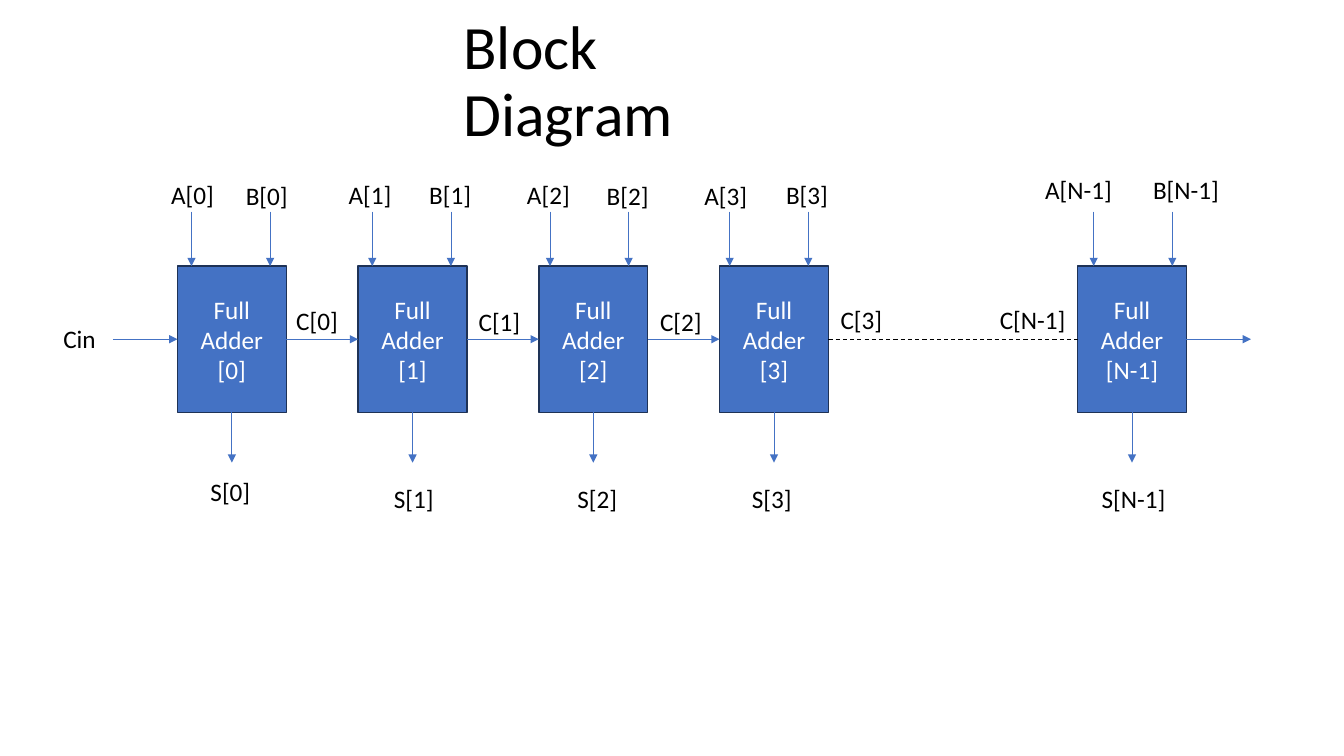
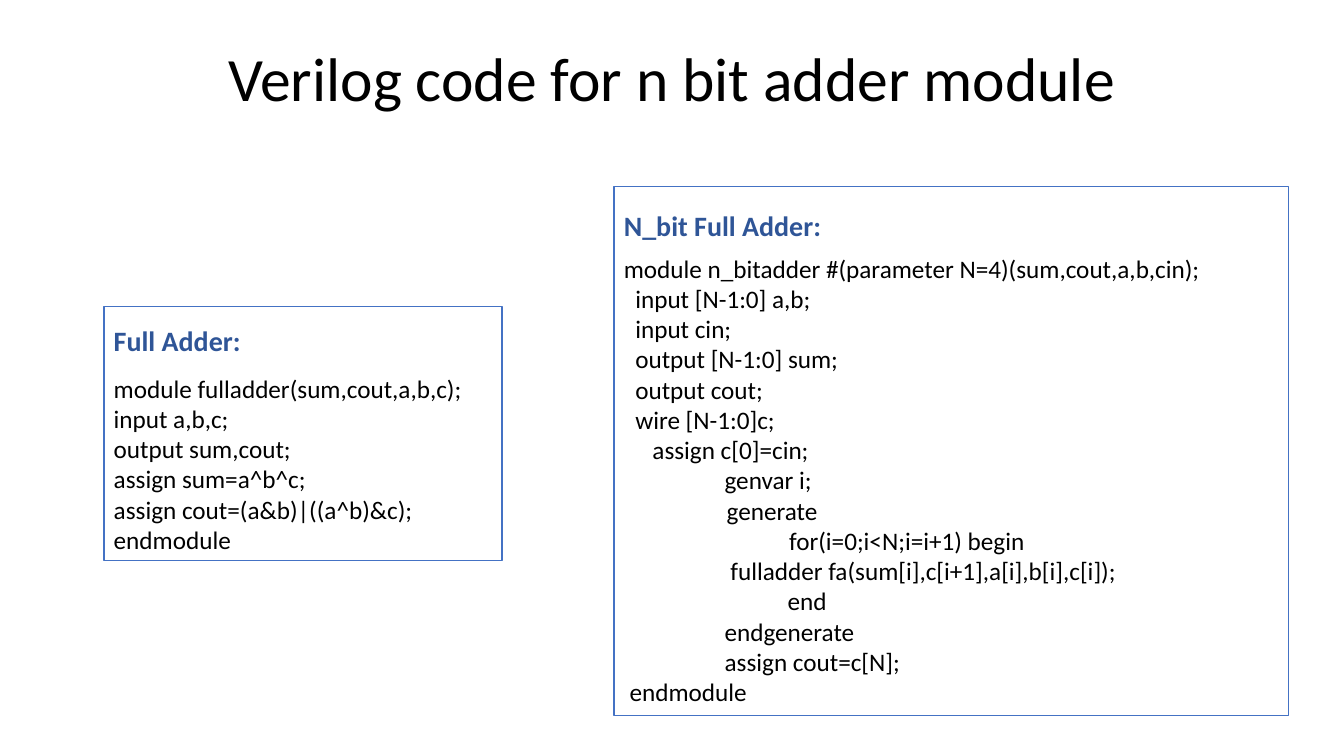
"""Builds two slides on an n-bit ripple-carry adder: block diagram and Verilog code."""
from collections import namedtuple

from lxml import etree
from pptx import Presentation
from pptx.dml.color import RGBColor
from pptx.enum.dml import MSO_LINE
from pptx.enum.shapes import MSO_CONNECTOR, MSO_SHAPE
from pptx.enum.text import MSO_ANCHOR, PP_ALIGN
from pptx.oxml.ns import qn
from pptx.util import Emu, Inches, Pt

RECTANGLE, STRAIGHT = MSO_SHAPE.RECTANGLE, MSO_CONNECTOR.STRAIGHT
DASH = MSO_LINE.DASH
LEFT, CENTER = PP_ALIGN.LEFT, PP_ALIGN.CENTER
TOP, MIDDLE = MSO_ANCHOR.TOP, MSO_ANCHOR.MIDDLE
SIDE_LEFT, SIDE_BOTTOM, SIDE_RIGHT = 1, 2, 3

COLORS = {
    "block": "4472C4",
    "block_edge": "1E3256",
    "heading": "2F5597",
    "ink": "000000",
    "paper": "FFFFFF",
}
FONT = "Calibri"
TITLE_SIZE, HEADING_SIZE, BODY_SIZE = 44, 20, 18

CELL = Inches(0.1)
GRID_COLUMNS, GRID_ROWS = 133.33, 75
BLOCK_WIDTH, BLOCK_HEIGHT = 10.8, 14.5
BLOCK_TOP, BLOCK_STEP = 26.4, 17.93
CARRY_ROW = BLOCK_TOP + BLOCK_HEIGHT / 2
INPUT_LENGTH, INPUT_GAP, OUTPUT_LENGTH, CARRY_LENGTH = 5.4, 7.8, 5, 6.4
LABEL_HEIGHT, LABEL_WIDTH, WIDE_LABEL_WIDTH = 4, 6.4, 9.9
FIRST_BLOCK, LAST_BLOCK = 17.6, 106.9

Stage = namedtuple("Stage", "index left first_input labels")
STAGES = [
    Stage("0", FIRST_BLOCK, 1.4,
          {"A": (16, 17.3), "B": (23.4, 17.4), "S": (19.9, 46.8), "C": (28.4, 29.8)}),
    Stage("1", FIRST_BLOCK + BLOCK_STEP, 1.4,
          {"A": (33.6, 17.3), "B": (41.6, 17.3), "S": (38.1, 47.5), "C": (46.5, 29.9)}),
    Stage("2", FIRST_BLOCK + 2 * BLOCK_STEP, 1.1,
          {"A": (51.3, 17.3), "B": (59.2, 17.4), "S": (56.3, 47.5), "C": (64.5, 29.9)}),
    Stage("3", FIRST_BLOCK + 3 * BLOCK_STEP, 1,
          {"A": (68.9, 17.4), "B": (77, 17.3), "S": (73.6, 47.5), "C": (82.4, 29.7)}),
    Stage("N-1", LAST_BLOCK, 1.6,
          {"A": (102.7, 16.8), "B": (113.4, 16.8), "S": (108.3, 47.5), "C": (98.2, 29.7)}),
]

FULL_ADDER_CODE = [
    (0, "module fulladder(sum,cout,a,b,c);"),
    (0, "input a,b,c;"),
    (0, "output sum,cout;"),
    (0, "assign sum=a^b^c;"),
    (0, "assign cout=(a&b)|((a^b)&c);"),
    (0, "endmodule"),
]
N_BIT_ADDER_CODE = [
    (0, "module n_bitadder #(parameter N=4)(sum,cout,a,b,cin);"),
    (1.14, "input [N-1:0] a,b;"),
    (1.14, "input cin;"),
    (1.14, "output [N-1:0] sum;"),
    (1.14, "output cout;"),
    (1.14, "wire [N-1:0]c;"),
    (2.84, "assign c[0]=cin;"),
    (10, "genvar i;"),
    (10.2, "generate"),
    (16.4, "for(i=0;i<N;i=i+1) begin"),
    (10.57, "fulladder fa(sum[i],c[i+1],a[i],b[i],c[i]);"),
    (16.24, "end"),
    (10, "endgenerate"),
    (10, "assign cout=c[N];"),
    (0.57, "endmodule"),
]


def cells(count):
    """Turn a count of grid cells into a length."""
    return Emu(round(count * CELL))


def rgb(name):
    """Look up a named colour."""
    return RGBColor.from_string(COLORS[name])


def write(shape, lines, size, color, align=LEFT, anchor=TOP, bold=None, spacing=None):
    """Fill a shape with (indent, text) lines, one paragraph each."""
    frame = shape.text_frame
    frame.word_wrap = True
    frame.vertical_anchor = anchor
    for number, (indent, text) in enumerate(lines):
        paragraph = frame.add_paragraph() if number else frame.paragraphs[0]
        paragraph.alignment = align
        paragraph.line_spacing = spacing
        if indent:
            paragraph._p.get_or_add_pPr().set("marL", str(cells(indent)))
        run = paragraph.add_run()
        run.text = text
        run.font.name = FONT
        run.font.size = Pt(size)
        run.font.bold = bold
        run.font.color.rgb = rgb(color)


def add_text(slide, box, text, size=BODY_SIZE, color="ink", **style):
    """Place one line of text in a box given in cells."""
    holder = slide.shapes.add_textbox(*map(cells, box))
    write(holder, [(0, text)], size, color, **style)


def add_title(slide, box, text, align=LEFT):
    """Place the slide title."""
    add_text(slide, box, text, TITLE_SIZE, align=align, anchor=MIDDLE, spacing=0.9)


def add_panel(slide, box, fill, edge):
    """Draw a flat outlined rectangle."""
    panel = slide.shapes.add_shape(RECTANGLE, *map(cells, box))
    panel.shadow.inherit = False
    panel.fill.solid()
    panel.fill.fore_color.rgb = rgb(fill)
    panel.line.color.rgb = rgb(edge)
    panel.line.width = Pt(1)
    return panel


def add_wire(slide, start, end, source=None, target=None, dashed=False):
    """Draw a signal arrow, or a dashed line for the omitted stages."""
    wire = slide.shapes.add_connector(STRAIGHT, *map(cells, (*start, *end)))
    if source:
        wire.begin_connect(*source)
    if target:
        wire.end_connect(*target)
    wire.line.color.rgb = rgb("ink" if dashed else "block")
    wire.line.width = Pt(0.75 if dashed else 0.5)
    if dashed:
        wire.line.dash_style = DASH
    else:
        etree.SubElement(wire.line._get_or_add_ln(), qn("a:tailEnd"), type="triangle")
    etree.SubElement(wire._element.spPr, qn("a:effectLst"))


def add_stage(slide, stage):
    """Draw one full adder with its inputs, sum output and labels."""
    box = (stage.left, BLOCK_TOP, BLOCK_WIDTH, BLOCK_HEIGHT)
    block = add_panel(slide, box, "block", "block_edge")
    write(block, [(0, "Full Adder"), (0, f"[{stage.index}]")], BODY_SIZE, "paper",
          CENTER, MIDDLE)
    for position in range(2):
        column = stage.left + stage.first_input + position * INPUT_GAP
        add_wire(slide, (column, BLOCK_TOP - INPUT_LENGTH), (column, BLOCK_TOP))
    center, bottom = stage.left + BLOCK_WIDTH / 2, BLOCK_TOP + BLOCK_HEIGHT
    add_wire(slide, (center, bottom), (center, bottom + OUTPUT_LENGTH),
             source=(block, SIDE_BOTTOM))
    width = LABEL_WIDTH if stage.index.isdigit() else WIDE_LABEL_WIDTH
    for signal, place in stage.labels.items():
        add_text(slide, (*place, width, LABEL_HEIGHT), f"{signal}[{stage.index}]")
    return block


def add_carry_chain(slide, blocks):
    """Link the stages from carry-in to carry-out."""
    first, last = STAGES[0].left, STAGES[-1].left + BLOCK_WIDTH
    add_wire(slide, (first - CARRY_LENGTH, CARRY_ROW), (first, CARRY_ROW),
             target=(blocks[0], SIDE_LEFT))
    for number, (stage, following) in enumerate(zip(STAGES, STAGES[1:])):
        add_wire(slide, (stage.left + BLOCK_WIDTH, CARRY_ROW),
                 (following.left, CARRY_ROW),
                 (blocks[number], SIDE_RIGHT), (blocks[number + 1], SIDE_LEFT),
                 dashed=following is STAGES[-1])
    add_wire(slide, (last, CARRY_ROW), (last + CARRY_LENGTH, CARRY_ROW),
             source=(blocks[-1], SIDE_RIGHT))
    add_text(slide, (5.3, 31.6, LABEL_WIDTH, LABEL_HEIGHT), "Cin")


def add_listing(slide, box, heading, heading_drop, code):
    """Draw a framed code listing under a heading."""
    left, top, width, _ = box
    frame = add_panel(slide, box, "paper", "block")
    frame.text_frame.margin_top = cells(6.6)
    write(frame, code, BODY_SIZE, "ink")
    add_text(slide, (left, top + heading_drop, width, 4.4), heading,
             HEADING_SIZE, "heading", bold=True)


def main():
    """Build and save the deck."""
    deck = Presentation()
    deck.slide_width, deck.slide_height = cells(GRID_COLUMNS), cells(GRID_ROWS)
    blank = deck.slide_layouts[6]

    diagram = deck.slides.add_slide(blank)
    add_title(diagram, (45, 1, 37.3, 14.5), "Block Diagram")
    add_carry_chain(diagram, [add_stage(diagram, stage) for stage in STAGES])

    verilog = deck.slides.add_slide(blank)
    add_title(verilog, (9.2, 2.3, 115, 11.6), "Verilog code for n bit adder module", CENTER)
    add_listing(verilog, (10.3, 30.4, 39.5, 25.2), "Full Adder:", 1.2, FULL_ADDER_CODE)
    add_listing(verilog, (60.9, 18.5, 66.9, 52.5), "N_bit Full Adder:", 1.7,
                N_BIT_ADDER_CODE)

    deck.save("out.pptx")


if __name__ == "__main__":
    main()
